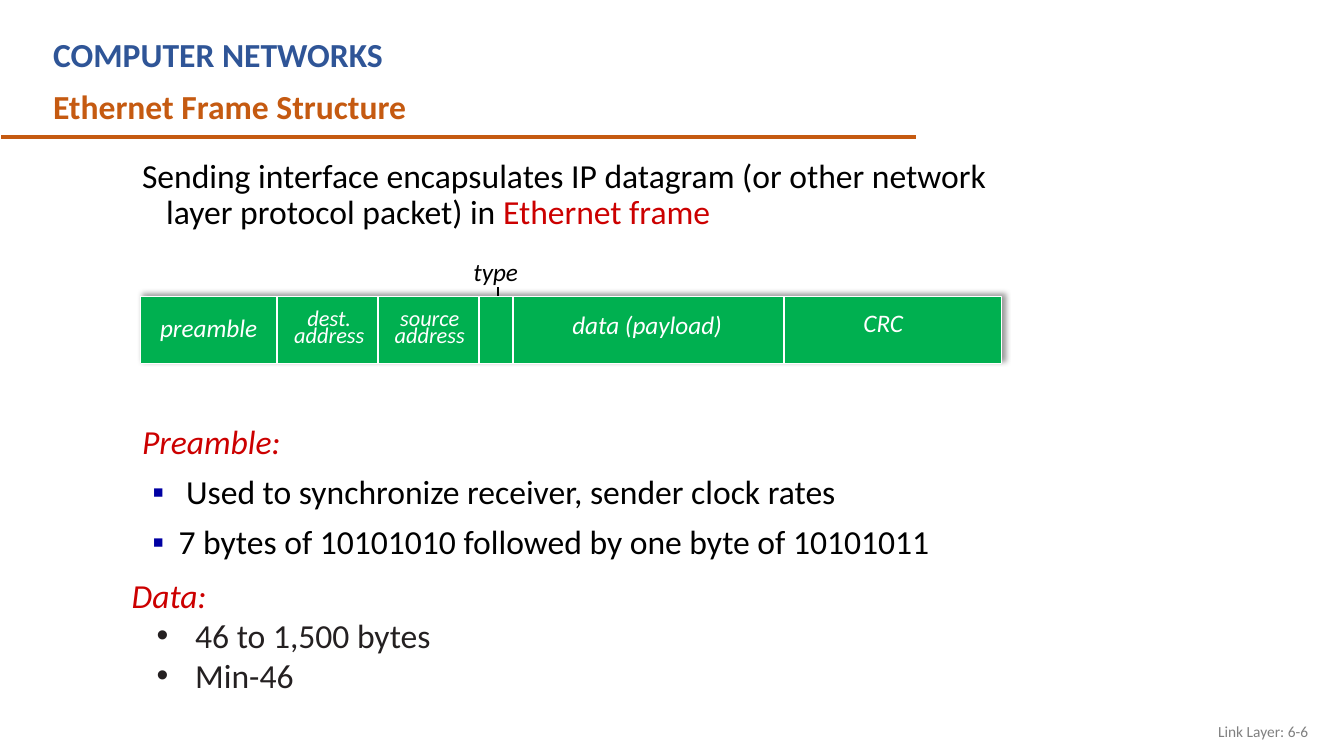
from lxml import etree
from pptx import Presentation
from pptx.dml.color import RGBColor
from pptx.enum.shapes import MSO_CONNECTOR, MSO_SHAPE
from pptx.enum.text import MSO_ANCHOR, PP_ALIGN
from pptx.oxml import parse_xml
from pptx.oxml.ns import nsdecls, qn
from pptx.util import Cm, Pt

COLORS = {
    "black": "000000", "white": "FFFFFF", "blue": "2F5597",
    "orange": "C55A11", "red": "CC0000", "green": "00B050",
    "bullet": "0000A3", "ink": "242021", "grey": "808080",
}
LOOSE = {"line_spacing": 0.9, "space_before": Pt(10)}
TIGHT = {"line_spacing": Pt(12), "alignment": PP_ALIGN.CENTER}


def color(name):
    return RGBColor.from_string(COLORS[name])


def set_values(target, values):
    for name, value in values.items():
        setattr(target, name, value)


def add_text(page, left, top, width, height, **values):
    box = page.shapes.add_textbox(Cm(left), Cm(top), Cm(width), Cm(height))
    set_values(box.text_frame, {"word_wrap": True, **values})
    return box.text_frame


def add_para(frame, spans, values=None, indent=None, bullet=None):
    first = not frame.paragraphs[0].runs
    para = frame.paragraphs[0] if first else frame.add_paragraph()
    properties = para._p.get_or_add_pPr()
    if indent:
        margin, hanging = indent
        properties.set("marL", str(Cm(margin)))
        properties.set("indent", str(Cm(hanging)))
    if bullet:
        mark, shade = bullet
        bullet_color = etree.SubElement(properties, qn("a:buClr"))
        etree.SubElement(bullet_color, qn("a:srgbClr"), val=COLORS[shade])
        etree.SubElement(properties, qn("a:buFont"), typeface="Arial")
        etree.SubElement(properties, qn("a:buChar"), char=mark)
    set_values(para, values or {})
    if first:
        para.space_before = Pt(0)
    for text, size, shade, style in spans:
        span = para.add_run()
        span.text = text
        set_values(span.font, {"name": "Calibri", "size": Pt(size), **style})
        span.font.color.rgb = color(shade)


def add_line(page, start, end, shade, width):
    line = page.shapes.add_connector(
        MSO_CONNECTOR.STRAIGHT, *(Cm(value) for value in start + end))
    line.line.color.rgb = color(shade)
    line.line.width = Pt(width)
    etree.SubElement(line._element.spPr, qn("a:effectLst"))


def add_header(page, left, top, width):
    titles = [("COMPUTER NETWORKS", "blue", 0, width),
              ("Ethernet Frame Structure", "orange", 1.3, 9.5)]
    for text, shade, offset, title_width in titles:
        frame = add_text(page, left, top + offset, title_width, 1.27)
        add_para(frame, [(text, 24, shade, {"bold": True})])
    add_line(page, (0.03, top + 2.72), (23.09, top + 2.72), "orange", 3)


def add_intro(page, left, top, width, height):
    frame = add_text(page, left, top, width, height)
    add_para(frame, [
        ("Sending interface encapsulates IP datagram (or other network "
         "layer protocol packet) in ", 24, "black", {}),
        ("Ethernet frame", 24, "red", {}),
    ], LOOSE, (0.99, -0.61))


def add_frame_diagram(page, left, top, width, height):
    add_line(page, (left + 9.02, top - 0.23), (left + 9.02, top + 0.4), "black", 0.75)
    bar = page.shapes.add_shape(
        MSO_SHAPE.RECTANGLE, Cm(left), Cm(top), Cm(width), Cm(height))
    bar.fill.solid()
    bar.fill.fore_color.rgb = color("green")
    bar.line.color.rgb = color("white")
    bar.line.width = Pt(0.75)
    bar._element.spPr.append(parse_xml(
        f'<a:effectLst {nsdecls("a")}><a:outerShdw blurRad="{Pt(4)}" '
        f'dist="{Pt(3)}" dir="18900000" algn="bl" rotWithShape="0">'
        f'<a:srgbClr val="{COLORS["black"]}"><a:alpha val="40000"/></a:srgbClr>'
        '</a:outerShdw></a:effectLst>'))

    for offset in (3.45, 5.99, 8.53, 9.4, 16.23):
        add_line(page, (left + offset, top), (left + offset, top + height), "white", 1.5)

    fields = [
        (["preamble"], 18, 1.73, 0.61, 3.71),
        (["dest.", "address"], 16, 4.77, 0.33, 2.94),
        (["source", "address"], 16, 7.3, 0.33, 2.94),
        (["data (payload)"], 18, 12.78, 0.53, 4.78),
        (["CRC"], 18, 18.73, 0.48, 2.97),
    ]
    for words, size, center, offset, label_width in fields:
        frame = add_text(page, left + center - label_width / 2, top + offset,
                         label_width, 0.24 + 0.42 * len(words))
        for word in words:
            add_para(frame, [(word, size, "white", {"italic": True})], TIGHT)

    frame = add_text(page, left + 8.15, top - 1.14, 2.67, 0.91)
    add_para(frame, [("type", 18, "black", {"italic": True})])


def add_section(page, place, heading, items, indents, bullet, shade, values):
    heading_indent, item_indent = indents
    frame = add_text(page, *place)
    add_para(frame, [(heading, 24, "red", {"italic": True})], values, heading_indent)
    for item in items:
        add_para(frame, [(item, 24, shade, {})], values, item_indent, bullet)


def add_footer(page, left, top, width, height):
    frame = add_text(page, left, top, width, height,
                     vertical_anchor=MSO_ANCHOR.MIDDLE)
    add_para(frame, [("Link Layer: 6-6", 11, "grey", {})],
             {"alignment": PP_ALIGN.RIGHT})


def main():
    deck = Presentation()
    deck.slide_width, deck.slide_height = Cm(33.87), Cm(19.05)
    page = deck.slides.add_slide(deck.slide_layouts[6])
    add_footer(page, 25.6, 17.91, 7.62, 1.02)
    add_intro(page, 2.95, 3.89, 22.33, 6.2)
    add_frame_diagram(page, 3.53, 7.47, 21.72, 1.7)
    add_section(page, (2.95, 10.59, 23.29, 5), "Preamble:",
                [" Used to synchronize receiver, sender clock rates",
                 "7 bytes of 10101010 followed by one byte of 10101011"],
                [(0.99, -0.61), (1.3, -0.66)], ("▪", "bullet"), "black", LOOSE)
    add_header(page, 1.09, 0.74, 20.83)
    add_section(page, (3.07, 14.35, 20.68, 4.37), "Data:",
                ["46 to 1,500 bytes", "Min-46"],
                [None, (1.6, -0.97)], ("•", "ink"), "ink", {})
    deck.save("out.pptx")


if __name__ == "__main__":
    main()
